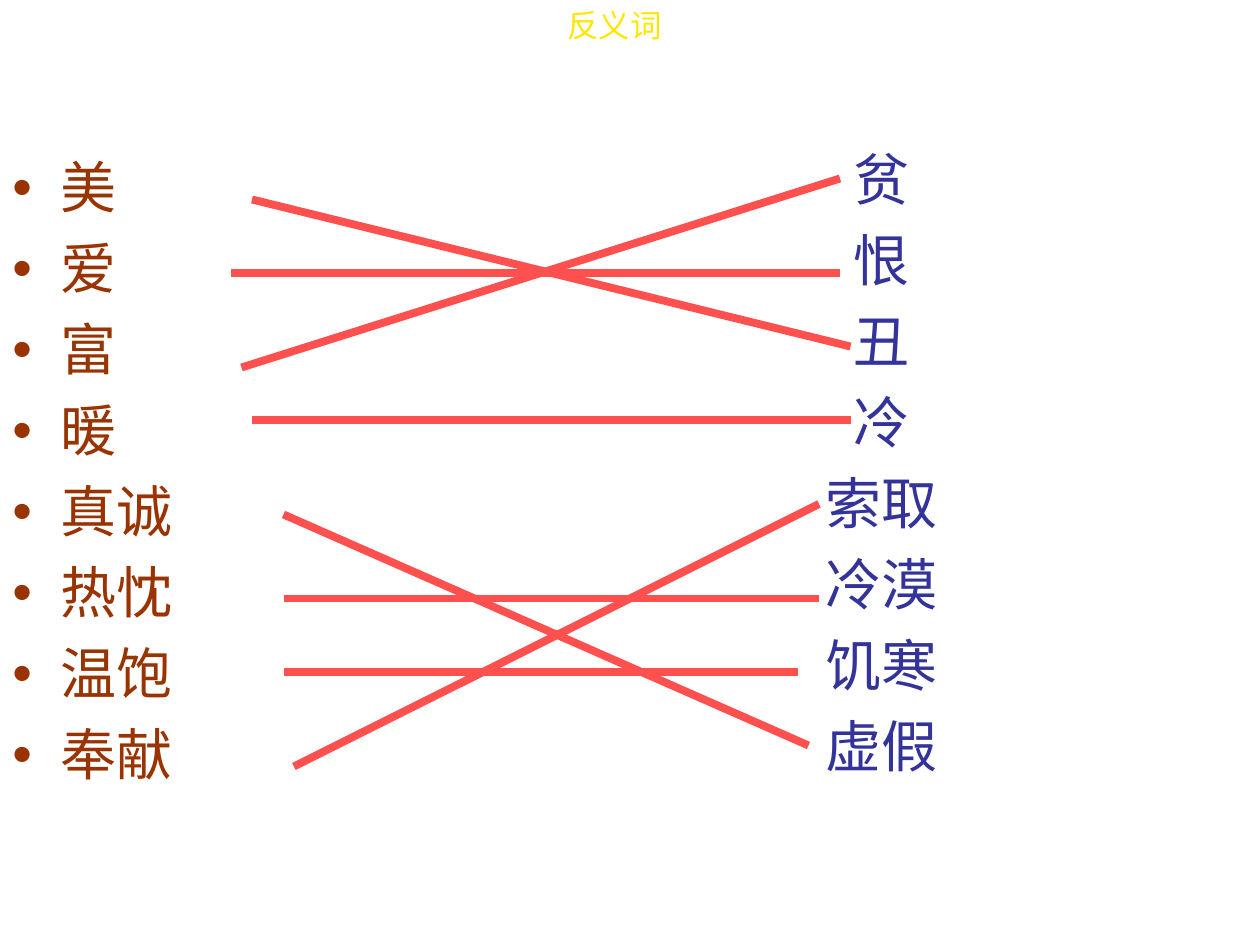
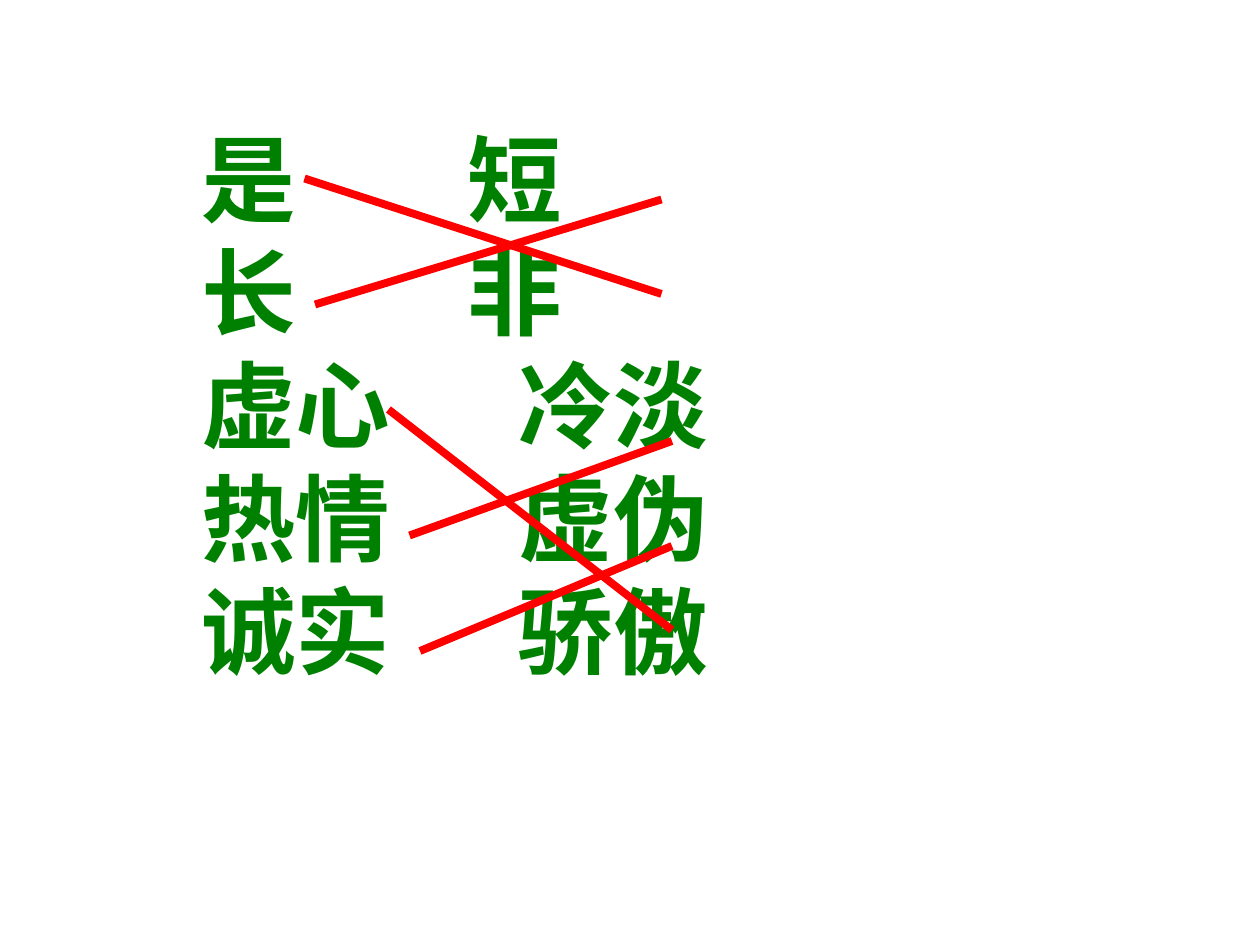
from lxml import etree
from pptx import Presentation
from pptx.dml.color import RGBColor
from pptx.enum.shapes import MSO_CONNECTOR
from pptx.enum.text import MSO_ANCHOR, MSO_AUTO_SIZE, PP_ALIGN
from pptx.oxml.ns import qn
from pptx.util import Inches, Pt

STRAIGHT = MSO_CONNECTOR.STRAIGHT
TOP, MIDDLE = MSO_ANCHOR.TOP, MSO_ANCHOR.MIDDLE
LEFT, CENTER = PP_ALIGN.LEFT, PP_ALIGN.CENTER
NO_FIT = MSO_AUTO_SIZE.NONE

TITLE_ONLY, BLANK = 5, 6
CELLS_PER_INCH = 12
LINE_RATIO = 1.196
BULLET_INDENT = Inches(0.38)
CHINESE_FONT = "Noto Sans CJK SC"

TITLE_STYLE = {"name": CHINESE_FONT, "size": 18, "color": "FFE701", "bold": False}
WORD_STYLE = {"name": "Arial", "size": 32, "color": "993300", "bold": False}
ANTONYM_STYLE = {**WORD_STYLE, "color": "333399"}
PAIR_STYLE = {"name": CHINESE_FONT, "size": 54, "color": "008000", "bold": True}

WORDS = ["美", "爱", "富", "暖", "真诚", "热忱", "温饱", "奉献"]
ANTONYMS = ["贫", "恨", "丑", "冷", "索取", "冷漠", "饥寒", "虚假"]
# Start column, start row, end column, end row
WORD_LINKS = [
    (24, 19, 81, 33), (22, 26, 80, 26), (23, 35, 80, 17), (24, 40, 81, 40),
    (27, 49, 77, 71), (27, 57, 78, 57), (27, 64, 76, 64), (28, 73, 78, 48),
]

# Left word, right word, tab stop of the right word in inches
PAIRS = [
    ("是", "短", 2.11), ("长", "非", 2.11),
    ("虚心", "冷淡", 2.52), ("热情", "虚伪", 2.52), ("诚实", "骄傲", 2.52),
]
PAIR_LINKS = [
    (29, 17, 63, 28), (30, 29, 63, 19), (37, 39, 64, 60),
    (39, 51, 64, 42), (40, 62, 64, 52),
]


def rgb(color):
    return RGBColor.from_string(color)


def grid(*cells):
    return [Inches(cell / CELLS_PER_INCH) for cell in cells]


def place(shape, cells):
    for name, value in zip(("left", "top", "width", "height"), grid(*cells)):
        setattr(shape, name, value)


def add_bullet(para):
    properties = para._p.get_or_add_pPr()
    properties.set("marL", str(BULLET_INDENT))
    properties.set("indent", str(-BULLET_INDENT))
    etree.SubElement(properties, qn("a:buFont")).set("typeface", "Arial")
    etree.SubElement(properties, qn("a:buChar")).set("char", "•")


def add_tab(para, inches):
    tabs = etree.SubElement(para._p.get_or_add_pPr(), qn("a:tabLst"))
    tab = etree.SubElement(tabs, qn("a:tab"))
    tab.set("pos", str(Inches(inches)))
    tab.set("algn", "l")


def write_span(para, text, style):
    span = para.add_run()
    span.text = text
    values = {"name": style["name"], "size": Pt(style["size"]), "bold": style["bold"]}
    for name, value in values.items():
        setattr(span.font, name, value)
    span.font.color.rgb = rgb(style["color"])
    east_asian = etree.SubElement(span._r.get_or_add_rPr(), qn("a:ea"))
    east_asian.set("typeface", style["name"])


def write_lines(box, lines, style, align=LEFT, anchor=TOP, wrap=True,
                gap=0, bullets=False, tabs=()):
    frame = box.text_frame
    settings = {"word_wrap": wrap, "auto_size": NO_FIT, "vertical_anchor": anchor}
    for name, value in settings.items():
        setattr(frame, name, value)
    for index, text in enumerate(lines):
        para = frame.add_paragraph() if index else frame.paragraphs[0]
        para.alignment = align
        para.line_spacing = Pt(round(style["size"] * LINE_RATIO, 1))
        para.space_before = Pt(gap if index else 0)
        if bullets:
            add_bullet(para)
        if tabs:
            add_tab(para, tabs[index])
        write_span(para, text, style)


def add_text(page, cells, lines, style, **layout):
    box = page.shapes.add_textbox(*grid(*cells))
    write_lines(box, lines, style, **layout)


def add_title(page, cells, text):
    place(page.shapes.title, cells)
    write_lines(page.shapes.title, [text], TITLE_STYLE, align=CENTER, wrap=False)


def add_links(page, links, color):
    for cells in links:
        link = page.shapes.add_connector(STRAIGHT, *grid(*cells))
        link.line.color.rgb = rgb(color)
        link.line.width = Pt(4.5)
        etree.SubElement(link._element.spPr, qn("a:effectLst"))


def add_word_page(deck):
    page = deck.slides.add_slide(deck.slide_layouts[TITLE_ONLY])
    add_title(page, (36, 0, 45, 23), "反义词")
    add_text(page, (0, 14, 32, 73), WORDS, WORD_STYLE, gap=8, bullets=True)
    add_text(page, (60, 7, 48, 74), ANTONYMS, ANTONYM_STYLE, gap=8,
             align=CENTER, anchor=MIDDLE, wrap=False)
    add_links(page, WORD_LINKS, "FF5050")


def add_pair_page(deck):
    page = deck.slides.add_slide(deck.slide_layouts[BLANK])
    lines = [f"{left}\t{right}" for left, right, _ in PAIRS]
    tabs = [stop for _, _, stop in PAIRS]
    add_text(page, (18, 11, 76, 55), lines, PAIR_STYLE, tabs=tabs)
    add_links(page, PAIR_LINKS, "FF0000")


def main():
    deck = Presentation()
    deck.slide_width, deck.slide_height = Inches(10), Inches(7.5)
    add_word_page(deck)
    add_pair_page(deck)
    deck.save("out.pptx")


if __name__ == "__main__":
    main()
